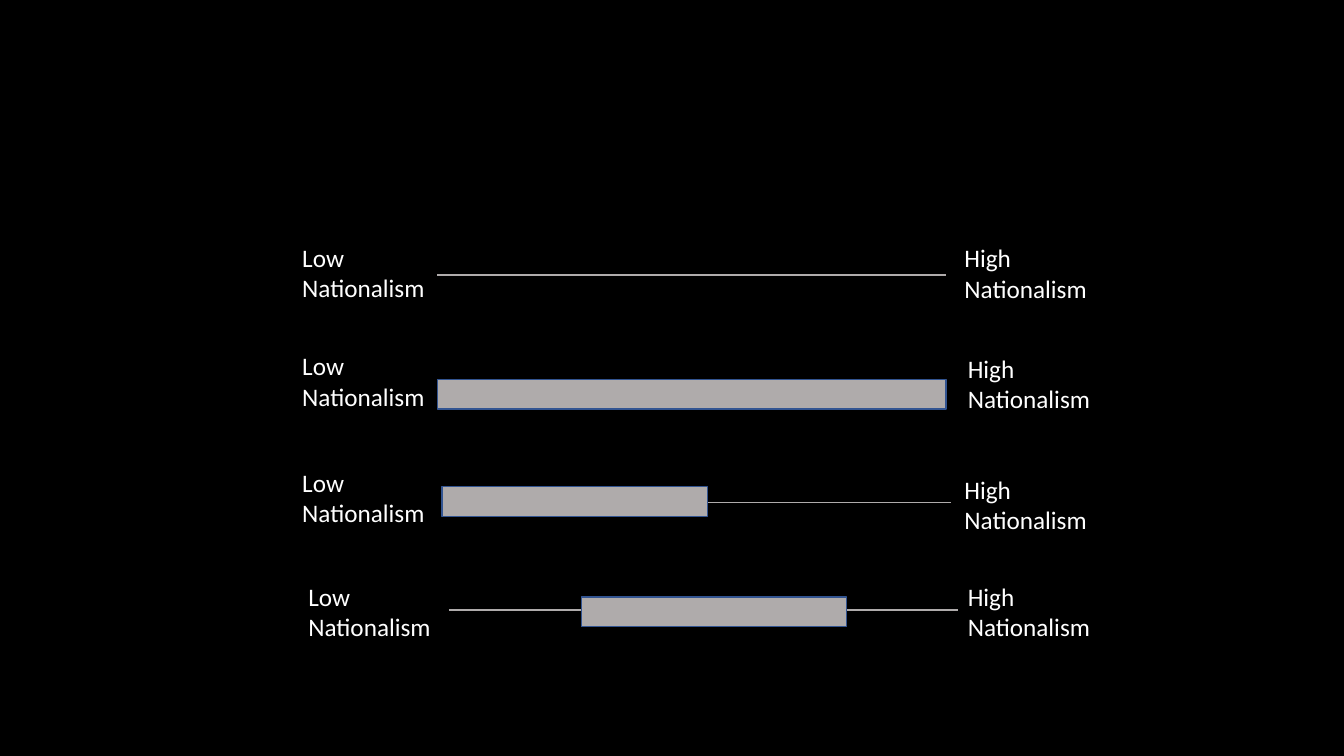
from lxml.etree import SubElement
from pptx import Presentation
from pptx.dml.color import RGBColor
from pptx.enum.shapes import MSO_CONNECTOR as Connector, MSO_SHAPE as Shape
from pptx.enum.text import MSO_AUTO_SIZE as AutoSize
from pptx.oxml.ns import qn
from pptx.util import Pt

COLORS = {
    "background": "000000",
    "text": "FFFFFF",
    "gray": "AFABAB",
    "blue": "4472C4",
    "outline": "325491",
}
SCALE_LENGTH = 363.3
LABEL_WIDTH, LABEL_HEIGHT = 109, 51


def color(name):
    """Return the named colour."""
    return RGBColor.from_string(COLORS[name])


def add_label(slide, left, top, text):
    """Add a wrapped label for one end of a scale."""
    box = slide.shapes.add_textbox(Pt(left), Pt(top), Pt(LABEL_WIDTH), Pt(LABEL_HEIGHT))
    frame = box.text_frame
    frame.word_wrap = True
    frame.auto_size = AutoSize.SHAPE_TO_FIT_TEXT
    run = frame.paragraphs[0].add_run()
    run.text = text
    run.font.name = "Calibri"
    run.font.size = Pt(18)
    run.font.color.rgb = color("text")


def add_scale(slide, left, y, line_color):
    """Add the horizontal line of a scale."""
    line = slide.shapes.add_connector(
        Connector.STRAIGHT, Pt(left), Pt(y), Pt(left + SCALE_LENGTH), Pt(y)
    )
    line.line.color.rgb = color(line_color)
    line.line.width = Pt(1)
    SubElement(line._element.spPr, qn("a:effectLst"))


def add_range(slide, left, top, width, height):
    """Add a bar that covers part of a scale."""
    bar = slide.shapes.add_shape(Shape.RECTANGLE, Pt(left), Pt(top), Pt(width), Pt(height))
    bar.shadow.inherit = False
    bar.fill.solid()
    bar.fill.fore_color.rgb = color("gray")
    bar.line.color.rgb = color("outline")
    bar.line.width = Pt(1)


def main():
    """Build the slide of four nationalism scales."""
    presentation = Presentation()
    presentation.slide_width, presentation.slide_height = Pt(960), Pt(540)
    slide = presentation.slides.add_slide(presentation.slide_layouts[6])
    slide.background.fill.solid()
    slide.background.fill.fore_color.rgb = color("background")

    rows = [
        ((312.5, 196.5, "gray"), (208.8, 169.3), (681.8, 169.8), None),
        ((312.5, 282.3, "blue"), (208.8, 247), (684.2, 249), (312.5, 271, 363.3, 21.3)),
        ((315.7, 359, "gray"), (208.8, 330.2), (681.8, 335.3), (315.7, 347.6, 189.5, 21.2)),
        ((320.7, 435.6, "gray"), (213.2, 411.8), (684.2, 411.8), (415.3, 426.5, 189.5, 21.2)),
    ]
    for scale, low, high, bar in rows:
        add_scale(slide, *scale)
        if bar:
            add_range(slide, *bar)
        add_label(slide, *low, "Low Nationalism")
        add_label(slide, *high, "High Nationalism")

    presentation.save("out.pptx")


if __name__ == "__main__":
    main()
